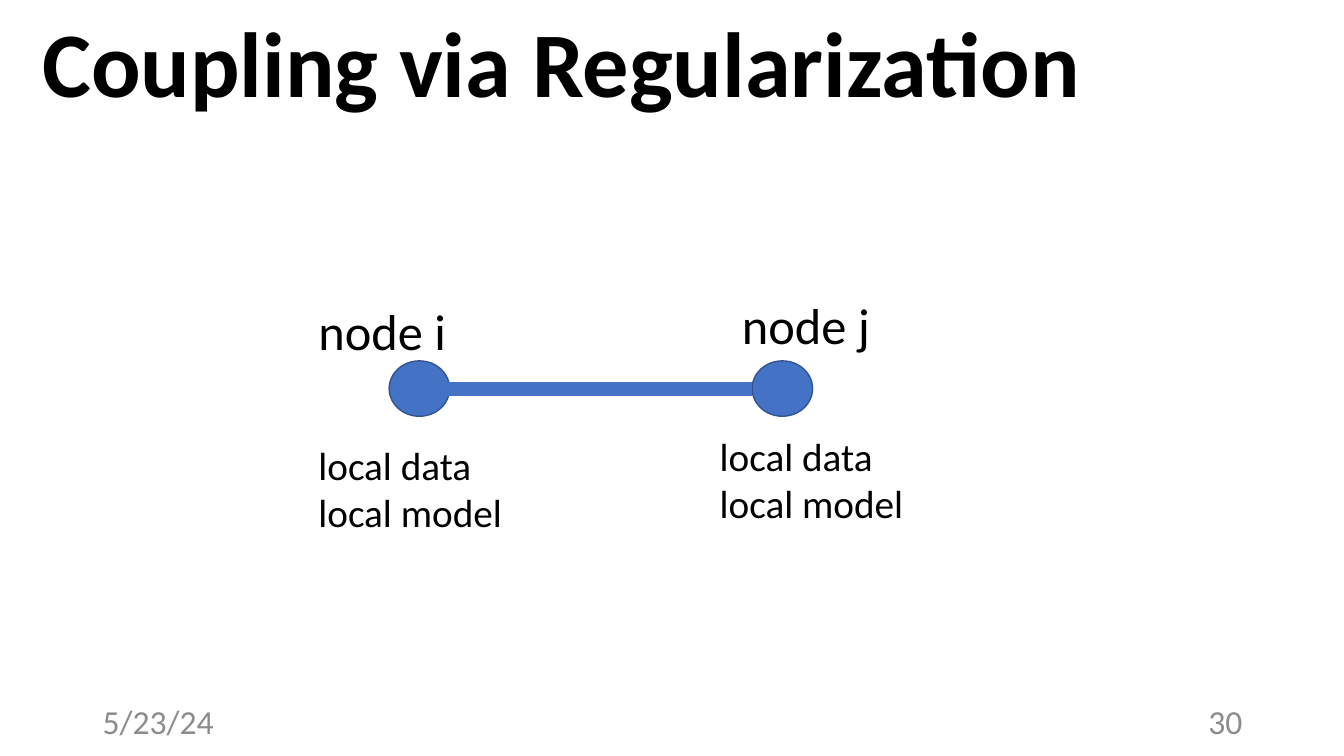
from pptx import Presentation
from pptx.dml.color import RGBColor
from pptx.enum.shapes import MSO_CONNECTOR as Connector, MSO_SHAPE as Shape
from pptx.enum.text import MSO_ANCHOR as Anchor, MSO_AUTO_SIZE as AutoSize, PP_ALIGN as Align
from pptx.util import Inches, Pt
from lxml import etree

CELL = 0.1  # side of one grid cell in inches
DRAWING = "http://schemas.openxmlformats.org/drawingml/2006/main"


def color(value):
    return RGBColor.from_string(value)


def grid(*cells):
    return [Inches(cell * CELL) for cell in cells]


class Painter:
    font = "Calibri"
    black, gray, blue, outline = "000000", "8C8C8C", "4472C4", "325491"

    def __init__(self, page):
        self.page = page

    def text(self, area, lines, size, ink=black, bold=False, frame=None, para=None):
        box = self.page.shapes.add_textbox(*grid(*area))
        body = box.text_frame
        for name, value in {"word_wrap": True, **(frame or {})}.items():
            setattr(body, name, value)
        for index, line in enumerate(lines):
            row = body.add_paragraph() if index else body.paragraphs[0]
            for name, value in (para or {}).items():
                setattr(row, name, value)
            span = row.add_run()
            span.text = line
            for name, value in {"name": self.font, "size": Pt(size), "bold": bold}.items():
                setattr(span.font, name, value)
            span.font.color.rgb = color(ink)

    def node(self, area):
        circle = self.page.shapes.add_shape(Shape.OVAL, *grid(*area))
        circle.shadow.inherit = False
        circle.fill.solid()
        circle.fill.fore_color.rgb = color(self.blue)
        circle.line.color.rgb = color(self.outline)
        circle.line.width = Pt(1)

    def edge(self, start, end, width):
        line = self.page.shapes.add_connector(Connector.STRAIGHT, *grid(*start, *end))
        line.line.color.rgb = color(self.blue)
        line.line.width = Pt(width)
        etree.SubElement(line._element.spPr, f"{{{DRAWING}}}effectLst")


def main():
    deck = Presentation()
    deck.slide_width, deck.slide_height = Inches(13.33), Inches(7.5)
    painter = Painter(deck.slides.add_slide(deck.slide_layouts[6]))
    middle = {"vertical_anchor": Anchor.MIDDLE}

    # Title
    painter.text((3.2, -2.1, 127, 17.7), ["Coupling via Regularization"], 66,
                 bold=True, frame=middle, para={"line_spacing": 0.9})

    # Date and page number
    for column, words, align in ((9.2, "5/23/24", Align.LEFT), (94.2, "30", Align.RIGHT)):
        painter.text((column, 69.5, 30, 4), [words], 24, ink=painter.gray,
                     frame=middle, para={"alignment": align})

    # Two nodes and the edge between them
    node_i, node_j, node_row = 38.6, 74.6, 35.8
    node_width, node_height = 6, 5.5
    for column in (node_i, node_j):
        painter.node((column, node_row, node_width, node_height))
    edge_row = node_row + node_height / 2
    painter.edge((node_i + node_width / 2, edge_row), (node_j, edge_row), 10)

    # Names above the nodes, contents below
    label = {"word_wrap": False, "auto_size": AutoSize.SHAPE_TO_FIT_TEXT}
    for name, name_at, content_at in (("node i", (30.6, 29.3), (30.6, 43.3)),
                                      ("node j", (72.6, 28.7), (70.4, 42.4))):
        painter.text((*name_at, 15.9, 7.1), [name], 36, frame=label)
        painter.text((*content_at, 20.4, 10.4), ["local data", "local model"], 28, frame=label)

    deck.save("out.pptx")


if __name__ == "__main__":
    main()
